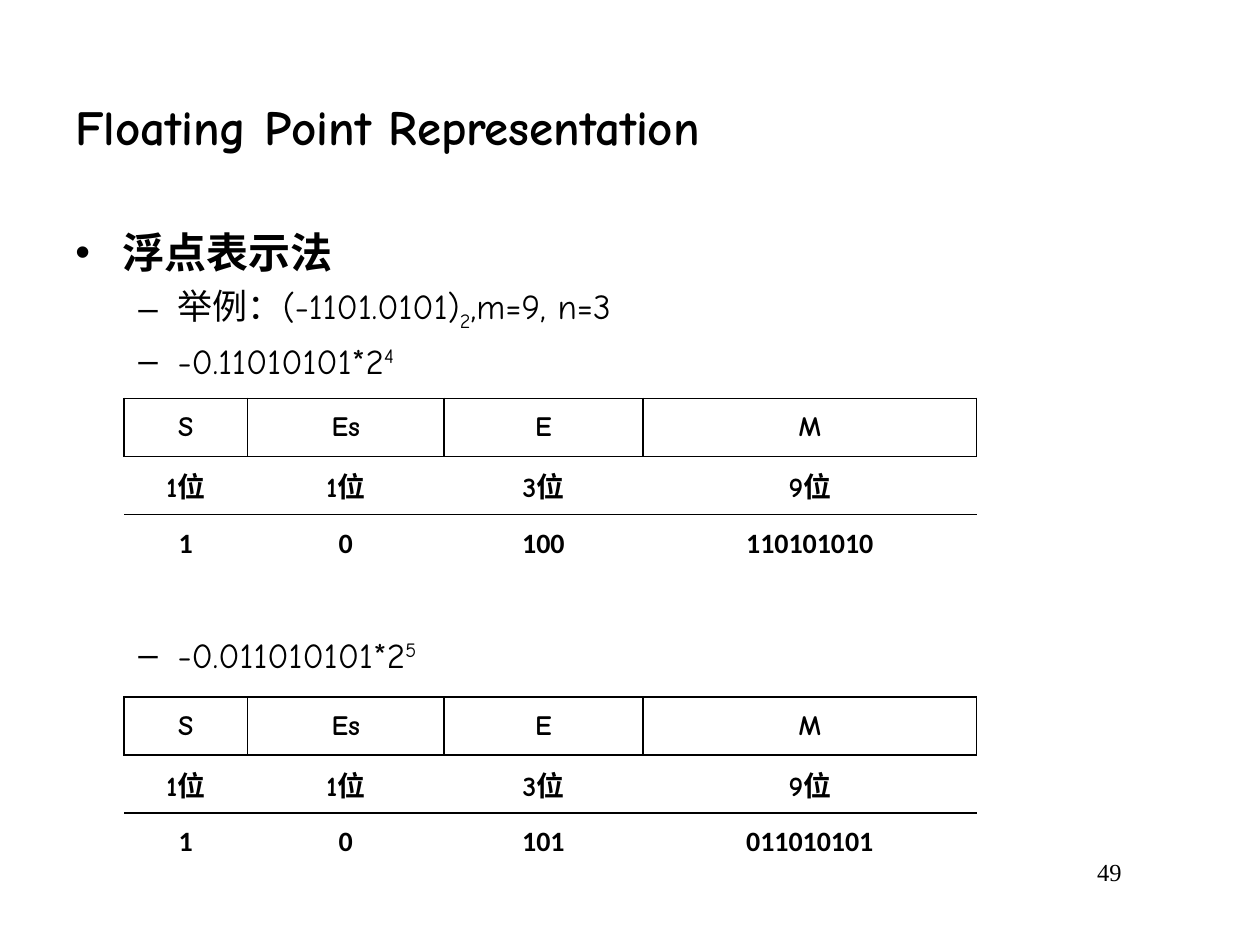
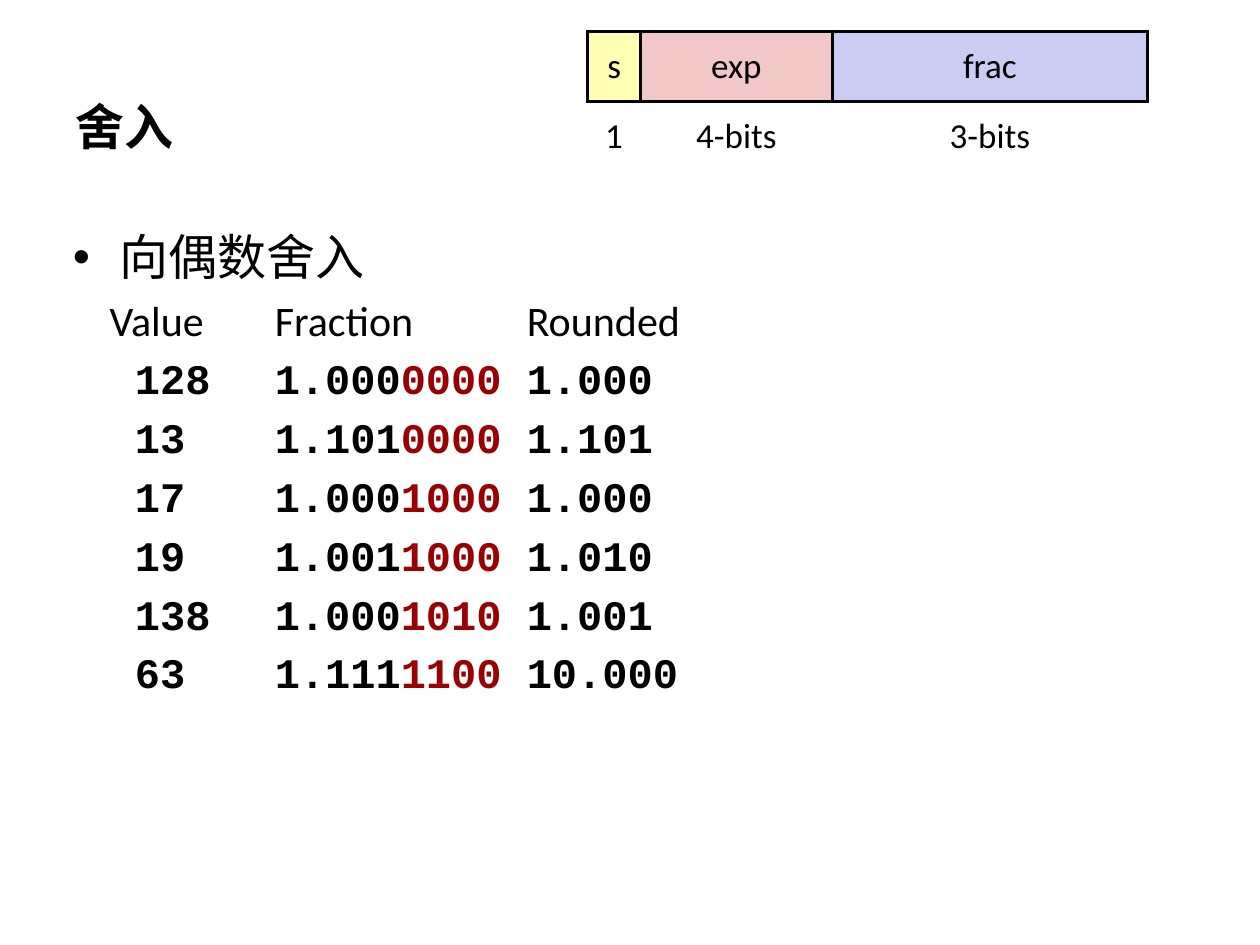
from lxml import etree
from pptx import Presentation
from pptx import util as u
from pptx.dml.color import RGBColor
from pptx.enum import text as t
from pptx.oxml import ns

COMIC, SANS, MONO = "Comic Neue", "Calibri", "Courier New"
BLACK, WHITE, RED = "000000", "FFFFFF", "980002"


def add(par, word, font, size, bold=False, hue=BLACK, base=0):
    run = par.add_run()
    run.text = word
    run.font.name, run.font.size, run.font.bold = font, u.Pt(size), bold
    run.font.color.rgb = RGBColor.from_string(hue)
    if base:
        run.font._element.set("baseline", str(base * 1000))


def grid(page, left, top, cols, high, pad, size, bold, line, rows):
    """Each row holds its font, its border sides, its fills and its words."""
    shape = page.shapes.add_table(len(rows), len(cols), u.Cm(left), u.Cm(top),
                                  u.Cm(sum(cols)), u.Cm(high * len(rows)))
    table = shape.table
    table.first_row = table.horz_banding = False
    for col, wide in zip(table.columns, cols):
        col.width = u.Cm(wide)
    for row, (font, sides, fills, words) in zip(table.rows, rows):
        row.height = u.Cm(high)
        for cell, fill, word in zip(row.cells, fills, words):
            cell.margin_left = cell.margin_right = u.Cm(pad[0])
            cell.margin_top = cell.margin_bottom = u.Cm(pad[1])
            cell.vertical_anchor = t.MSO_ANCHOR.MIDDLE
            props = cell._tc.get_or_add_tcPr()
            for side in "LRTB":
                edge = etree.SubElement(props, ns.qn("a:ln" + side), w=str(u.Pt(line)))
                if side in sides:
                    ink = etree.SubElement(edge, ns.qn("a:solidFill"))
                    etree.SubElement(ink, ns.qn("a:srgbClr"), val=BLACK)
                else:
                    etree.SubElement(edge, ns.qn("a:noFill"))
            if fill:
                cell.fill.solid()
                cell.fill.fore_color.rgb = RGBColor.from_string(fill)
            else:
                cell.fill.background()
            par = cell.text_frame.paragraphs[0]
            par.alignment = t.PP_ALIGN.CENTER
            add(par, word, font, size, bold)


# Body lines: left margin, first indent, bullet, extra gap in points, runs
float_body = [
    (0.95, -0.95, "•", 0, [("浮点表示法", COMIC, 24, True)]),
    (2.06, -0.79, "–", 0, [("举例：(-1101.0101)", COMIC, 20),
                           ("2", COMIC, 20, False, BLACK, -25),
                           (",m=9, n=3", COMIC, 20)]),
    (2.06, -0.79, "–", 0, [("-0.11010101*2", COMIC, 20),
                           ("4", COMIC, 20, False, BLACK, 30)]),
    (2.06, -0.79, "–", 144, [("-0.011010101*2", COMIC, 20),
                             ("5", COMIC, 20, False, BLACK, 30)]),
]
round_body = [
    (0.95, -0.95, "•", 0, [("向偶数舍入", COMIC, 28)]),
    (1.53, -0.79, None, 0, [("Value\tFraction\tRounded", SANS, 24)]),
]
for value, keep, drop, result in [
    ("128", "1.000", "0000", "1.000"),
    ("13", "1.101", "0000", "1.101"),
    ("17", "1.000", "1000", "1.000"),
    ("19", "1.001", "1000", "1.010"),
    ("138", "1.000", "1010", "1.001"),
    ("63", "1.111", "1100", "10.000"),
]:
    round_body.append((1.53, -0.28, None, 0, [
        (value + "\t" + keep, MONO, 24, True),
        (drop + "\t", MONO, 24, True, RED),
        (result, MONO, 24, True)]))

deck = Presentation()
deck.slide_width, deck.slide_height = u.Cm(25.4), u.Cm(19.05)

# Title and body of both slides
pages = []
for title, left, wide, high, body in [
    ("Floating Point Representation", 1.27, 23.06, 12.27, float_body),
    ("舍入", 1.22, 23.29, 11.07, round_body),
]:
    page = deck.slides.add_slide(deck.slide_layouts[6])
    pages.append(page)
    head = page.shapes.add_textbox(u.Cm(1.27), u.Cm(1.27), u.Cm(22.43), u.Cm(2.54)).text_frame
    head.word_wrap = True
    head.vertical_anchor = t.MSO_ANCHOR.MIDDLE
    add(head.paragraphs[0], title, COMIC, 28, True)

    frame = page.shapes.add_textbox(u.Cm(left), u.Cm(4.45), u.Cm(wide), u.Cm(high)).text_frame
    frame.word_wrap = True
    for i, (margin, indent, mark, gap, runs) in enumerate(body):
        par = frame.add_paragraph() if i else frame.paragraphs[0]
        props = par._p.get_or_add_pPr()
        props.set("marL", str(u.Cm(margin)))
        props.set("indent", str(u.Cm(indent)))
        props.set("defTabSz", str(u.Cm(2.54)))
        if gap:
            par.space_before = u.Pt(gap)
        else:
            space = etree.SubElement(props, ns.qn("a:spcBef"))
            etree.SubElement(space, ns.qn("a:spcPct"), val="20000")
        if mark:
            etree.SubElement(props, ns.qn("a:buFont"), typeface="Arial")
            etree.SubElement(props, ns.qn("a:buChar"), char=mark)
        for run in runs:
            add(par, *run)

# Floating point: one bit table for each form
first, second = pages
for top, power, digits in [(8.03, "100", "110101010"), (14.05, "101", "011010101")]:
    grid(first, 2.5, top, [2.49, 3.96, 4.01, 6.73], 1.17, (0.18, 0), 16, True, 1, [
        (COMIC, "LRTB", [WHITE] * 4, ["S", "Es", "E", "M"]),
        (COMIC, "TB", [WHITE] * 4, ["1位", "1位", "3位", "9位"]),
        (SANS, "T", [WHITE] * 4, ["1", "0", power, digits]),
    ])

# Page number
foot = first.shapes.add_textbox(u.Cm(19.25), u.Cm(17.15), u.Cm(3.61), u.Cm(1.27)).text_frame
foot.word_wrap = True
foot.paragraphs[0].alignment = t.PP_ALIGN.RIGHT
add(foot.paragraphs[0], "49", "Times New Roman", 14)

# Rounding: field layout
grid(second, 11.85, 0.64, [1.06, 3.87, 6.35], 1.41, (0.15, 0.15), 20, False, 2, [
    (SANS, "LRTB", ["FFFEB2", "F1C7C7", "CBCCF3"], ["s", "exp", "frac"]),
    (SANS, "T", [None] * 3, ["1", "4-bits", "3-bits"]),
])

deck.save("out.pptx")
